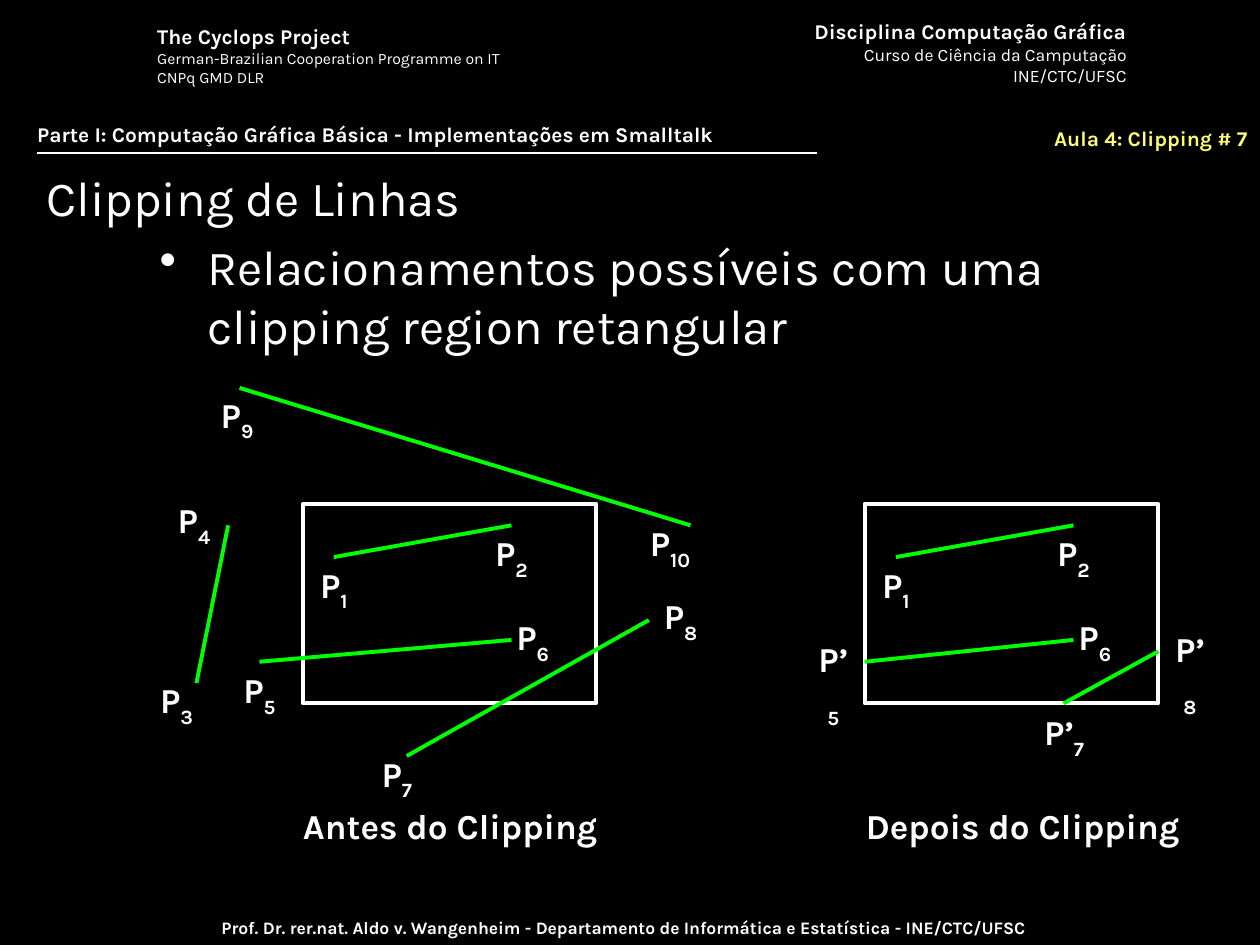
from lxml import etree
from pptx import Presentation
from pptx import util as u
from pptx.dml.color import RGBColor
from pptx.enum import shapes, text
from pptx.oxml import ns

COLORS = {"background": "000000", "ink": "FFFFFF", "lesson": "FFFC6F", "segment": "00FF00"}
LEFT, CENTER, RIGHT = text.PP_ALIGN.LEFT, text.PP_ALIGN.CENTER, text.PP_ALIGN.RIGHT


def add_text(box, lines, align=LEFT, color="ink", wrap=True):
    """Each line is a list of (text, size, bold, subscript) runs; box is in cm."""
    frame = slide.shapes.add_textbox(*map(u.Cm, box)).text_frame
    frame.word_wrap = wrap
    for index, runs in enumerate(lines):
        paragraph = frame.add_paragraph() if index else frame.paragraphs[0]
        paragraph.alignment = align
        for words, size, bold, subscript in runs:
            run = paragraph.add_run()
            run.text = words
            run.font.name = "Karla"
            run.font.size = u.Pt(size)
            run.font.bold = bold
            run.font.color.rgb = RGBColor.from_string(COLORS[color])
            if subscript:
                run._r.get_or_add_rPr().set("baseline", "-30000")
    return frame


def add_line(x1, y1, x2, y2, color="segment", width=2.25):
    line = slide.shapes.add_connector(shapes.MSO_CONNECTOR.STRAIGHT, *map(u.Cm, (x1, y1, x2, y2)))
    line.line.color.rgb = RGBColor.from_string(COLORS[color])
    line.line.width = u.Pt(width)
    etree.SubElement(line._element.spPr, ns.qn("a:effectLst"))


presentation = Presentation()
presentation.slide_width, presentation.slide_height = u.Cm(25.4), u.Cm(19.05)
slide = presentation.slides.add_slide(presentation.slide_layouts[6])
slide.background.fill.solid()
slide.background.fill.fore_color.rgb = RGBColor.from_string(COLORS["background"])

# Header, section line and footer
add_text((16, 0.25, 6.96, 1.63), [
    [("Disciplina Computação Gráfica", 12, True, False)],
    [("Curso de Ciência da Camputação", 10, False, False)],
    [("INE/CTC/UFSC", 10, False, False)],
], RIGHT)
add_text((2.92, 0.36, 7.75, 1.52), [
    [("The Cyclops Project", 12, True, False)],
    [("German-Brazilian Cooperation Programme on IT", 9, False, False)],
    [("CNPq GMD DLR", 9, False, False)],
])
add_text((1.35, 18.36, 22.43, 0.69), [[(
    "Prof. Dr. rer.nat. Aldo v. Wangenheim - Departamento de Informática e Estatística - INE/CTC/UFSC",
    10, True, False)]], CENTER)
add_line(0.74, 3.08, 16.46, 3.08, "ink", 1)
add_text((19.28, 2.4, 6.12, 0.83), [[("Aula 4: Clipping # 7", 12, True, False)]], RIGHT, "lesson")
add_text((0.5, 2.32, 24.13, 0.76), [[(
    "Parte I: Computação Gráfica Básica - Implementações em Smalltalk", 12, True, False)]])

# Title and bullet
title = add_text((0.69, 3.3, 22.81, 1.35), [[("Clipping de Linhas", 28, False, False)]])
title.vertical_anchor = text.MSO_ANCHOR.MIDDLE
body = add_text((2.97, 4.65, 21.59, 13.34), [[(
    "Relacionamentos possíveis com uma clipping region retangular", 28, False, False)]])
bullet = body.paragraphs[0]._p.get_or_add_pPr()
bullet.set("marL", str(u.Cm(0.96)))
bullet.set("indent", str(u.Cm(-0.96)))
etree.SubElement(bullet, ns.qn("a:buChar")).set("char", "•")

# Parts shared by both diagrams: clipping region, segment P1-P2, labels
AFTER_SHIFT = 11.33
for shift in (0, AFTER_SHIFT):
    region = slide.shapes.add_shape(
        shapes.MSO_SHAPE.RECTANGLE, *map(u.Cm, (6.1 + shift, 10.16, 5.92, 4.02)))
    region.shadow.inherit = False
    region.fill.background()
    region.line.color.rgb = RGBColor.from_string(COLORS["ink"])
    region.line.width = u.Pt(2.25)
    add_line(6.73 + shift, 11.23, 10.31 + shift, 10.59)

# Segments before clipping, then the clipped ones
for segment in [
    (4.83, 7.82, 13.92, 10.59),
    (4.6, 10.59, 3.96, 13.77),
    (5.23, 13.34, 10.31, 12.9),
    (8.2, 15.24, 13.08, 12.5),
    (17.43, 13.34, 21.64, 12.9),
    (21.44, 14.18, 23.35, 13.13),
]:
    add_line(*segment)

# Point labels: letter, index, centre, top, box width, wrapping
shared_points = [("1", 6.73, 11.23), ("2", 10.31, 10.59), ("6", 10.74, 12.29)]
before_points = [
    ("3", 3.56, 13.56), ("4", 3.91, 9.93), ("5", 5.23, 13.36), ("7", 8, 15.04),
    ("8", 13.72, 11.86), ("9", 4.78, 7.8), ("10", 13.51, 10.39),
]
labels = [("P", name, x, y, 1.42, False) for name, x, y in shared_points + before_points]
labels += [("P", name, x + AFTER_SHIFT, y, 1.42, False) for name, x, y in shared_points]
labels += [
    ("P’", "5", 16.8, 12.73, 1.22, True),
    ("P’", "7", 21.45, 14.2, 1.42, False),
    ("P’", "8", 23.99, 12.52, 1.22, True),
]
for letter, name, center, top, width, wrap in labels:
    add_text((center - width / 2, top, width, 1.27),
             [[(letter, 20, True, False), (name, 20, True, True)]], CENTER, wrap=wrap)

# Captions
for caption, center in [("Antes do Clipping", 9.08), ("Depois do Clipping", 20.62)]:
    add_text((center - 3.5, 16.1, 7, 1.12), [[(caption, 20, True, False)]], CENTER, wrap=False)

presentation.save("out.pptx")
